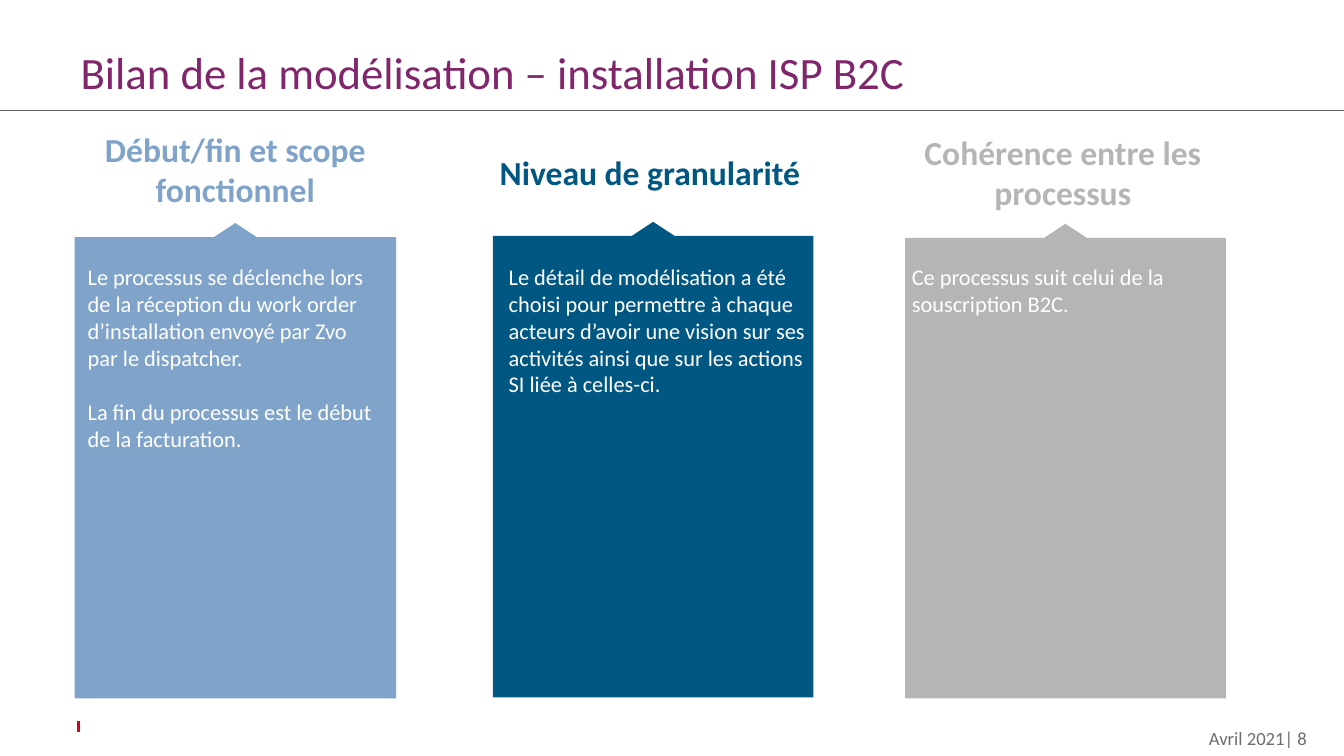
from pptx import Presentation
from pptx.dml.color import RGBColor
from pptx.enum.shapes import MSO_CONNECTOR, MSO_SHAPE
from pptx.enum.text import MSO_ANCHOR, MSO_AUTO_SIZE, PP_ALIGN
from pptx.oxml.ns import qn
from pptx.util import Cm, Pt
from lxml.etree import SubElement

COLORS = {
    "title": "80276C",
    "light": "80A3CA",
    "dark": "005782",
    "grey": "B5B5B5",
    "white": "FFFFFF",
    "footer": "6D6D6D",
    "rule": "63666A",
    "tick": "CF022B",
}

COLUMNS = [
    {
        "color": "light",
        "heading": "Début/fin et scope fonctionnel",
        "heading_box": (1.88, 3.12, 8.1, 2.3),
        "callout_box": (1.88, 5.62, 8.1, 11.98),
        "body": [
            "Le processus se déclenche lors de la réception du work order "
            "d’installation envoyé par Zvo par le dispatcher.",
            "La fin du processus est le début de la facturation.",
        ],
        "body_box": (2.21, 6.63, 7.25, 8.28),
    },
    {
        "color": "dark",
        "heading": "Niveau de granularité",
        "heading_box": (12.34, 3.71, 8.08, 1.27),
        "callout_box": (12.42, 5.59, 8.08, 11.98),
        "body": [
            "Le détail de modélisation a été choisi pour permettre à chaque "
            "acteurs d’avoir une vision sur ses activités ainsi que sur les "
            "actions SI liée à celles-ci.",
        ],
        "body_box": (12.82, 6.63, 7.62, 10.8),
    },
    {
        "color": "grey",
        "heading": "Cohérence entre les processus",
        "heading_box": (22.81, 3.2, 7.95, 2.3),
        "callout_box": (22.81, 5.64, 8.08, 11.96),
        "body": ["Ce processus suit celui de la souscription B2C."],
        "body_box": (22.98, 6.63, 7.8, 10.2),
    },
]


def rgb(name):
    """Return the palette colour of that name."""
    return RGBColor.from_string(COLORS[name])


def lengths(box):
    """Convert a box in centimetres to lengths."""
    return [Cm(v) for v in box]


def write(tf, paragraphs, size, color, bold=False, align=PP_ALIGN.LEFT,
          anchor=MSO_ANCHOR.TOP, gap=0, inset=True):
    """Fill a text frame with formatted paragraphs."""
    tf.word_wrap = True
    tf.auto_size = MSO_AUTO_SIZE.NONE
    tf.vertical_anchor = anchor
    if not inset:
        tf.margin_left = tf.margin_right = tf.margin_top = tf.margin_bottom = 0
    for i, text in enumerate(paragraphs):
        p = tf.add_paragraph() if i else tf.paragraphs[0]
        p.alignment = align
        p.space_before = Pt(gap if i else 0)
        r = p.add_run()
        r.text = text
        r.font.name = "Calibri"
        r.font.size = Pt(size)
        r.font.bold = bold
        r.font.color.rgb = rgb(color)


def add_text(s, box, paragraphs, **fmt):
    """Add a text box with formatted paragraphs."""
    write(s.shapes.add_textbox(*lengths(box)).text_frame, paragraphs, **fmt)


def add_title(s, box, text):
    """Place and format the title placeholder."""
    sp = s.shapes.title
    sp.left, sp.top, sp.width, sp.height = lengths(box)
    write(sp.text_frame, [text], size=32, color="title",
          anchor=MSO_ANCHOR.MIDDLE, inset=False)


def add_line(s, ends, color, width):
    """Add a straight line without shadow."""
    line = s.shapes.add_connector(MSO_CONNECTOR.STRAIGHT, *lengths(ends))
    line.line.color.rgb = rgb(color)
    line.line.width = Pt(width)
    SubElement(line._element.spPr, qn("a:effectLst"))


def add_callout(s, box, color):
    """Add a panel whose small arrow points up."""
    sp = s.shapes.add_shape(MSO_SHAPE.DOWN_ARROW_CALLOUT, *lengths(box))
    sp.rotation = 180
    for i, value in enumerate((0.25, 0.067, 0.044, 0.975)):
        sp.adjustments[i] = value
    sp.shadow.inherit = False
    sp.fill.solid()
    sp.fill.fore_color.rgb = rgb(color)
    sp.line.fill.background()


def add_column(s, column):
    """Add a heading, its panel and the panel text."""
    add_callout(s, column["callout_box"], column["color"])
    add_text(s, column["heading_box"], [column["heading"]], size=24,
             color=column["color"], bold=True, align=PP_ALIGN.CENTER)
    add_text(s, column["body_box"], column["body"], size=16, color="white",
             gap=19.5, inset=False)


def main():
    """Build and save the slide."""
    prs = Presentation()
    prs.slide_width, prs.slide_height = Cm(33.87), Cm(19.05)
    s = prs.slides.add_slide(prs.slide_layouts[5])
    add_title(s, (2.03, 1.35, 29.8, 0.91),
              "Bilan de la modélisation – installation ISP B2C")
    add_line(s, (0, 2.78, 33.87, 2.78), "rule", 0.75)
    add_line(s, (1.97, 18.16, 1.97, 18.44), "tick", 2.25)
    for column in COLUMNS:
        add_column(s, column)
    add_text(s, (22.86, 18.31, 10.08, 0.56), ["Avril 2021| 8"], size=13.3,
             color="footer", align=PP_ALIGN.RIGHT, anchor=MSO_ANCHOR.MIDDLE,
             inset=False)
    prs.save("out.pptx")


if __name__ == "__main__":
    main()
